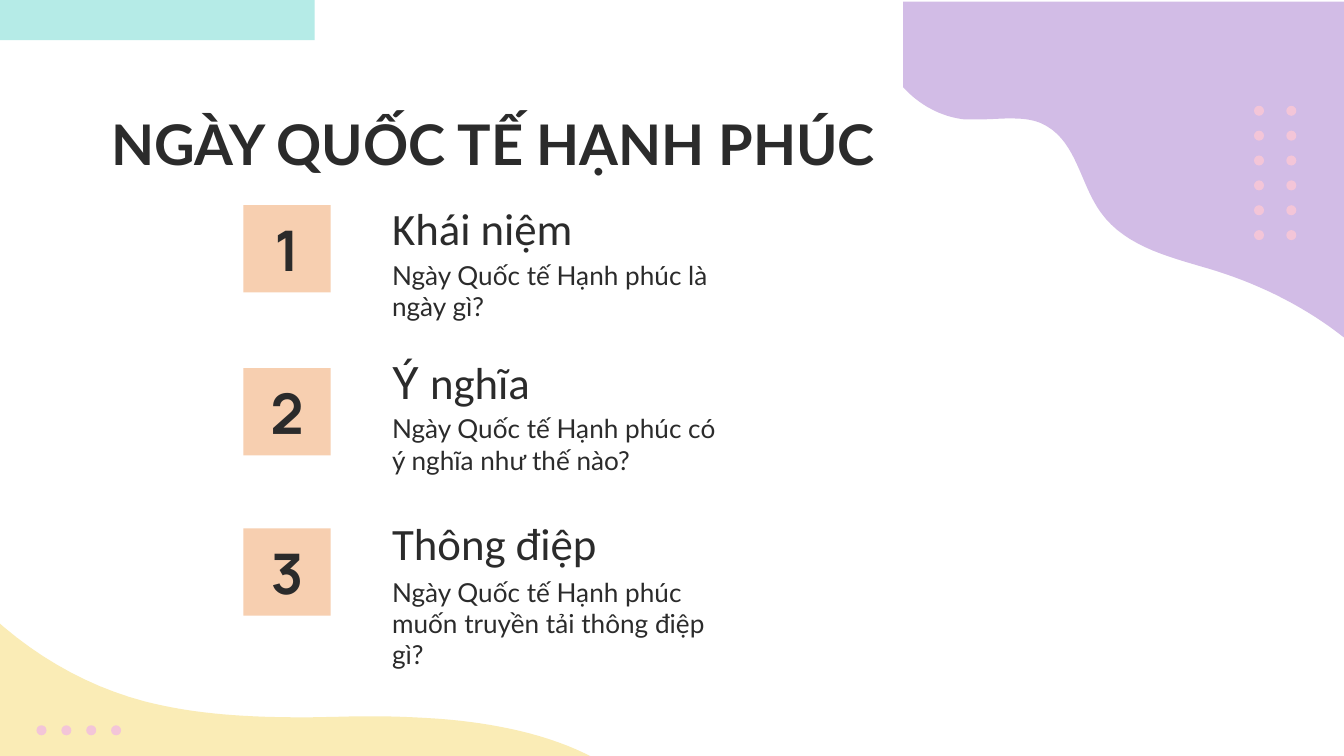
from dataclasses import dataclass

from pptx import Presentation
from pptx.dml.color import RGBColor
from pptx.enum.shapes import MSO_SHAPE as Shape
from pptx.enum.text import MSO_ANCHOR as Anchor, PP_ALIGN as Align
from pptx.util import Cm, Pt

INK = RGBColor(0x2B, 0x2B, 0x2B)
MINT = RGBColor(0xB5, 0xEB, 0xE7)
YELLOW = RGBColor(0xFA, 0xEC, 0xB6)
PINK = RGBColor(0xF3, 0xC5, 0xD8)
PEACH = RGBColor(0xF7, 0xCF, 0xB0)
LILAC = RGBColor(0xD2, 0xBC, 0xE6)

DOT_SIZE, DOT_STEP, DOT_COLUMN_STEP = 0.19, 0.47, 0.61
CURVE_STEPS = 16
Point = tuple[float, float]


@dataclass
class Wave:
    """Straight corners, then cubic curves as (control, control, end); in cm."""
    color: RGBColor
    corners: list[Point]
    curves: list[tuple[Point, Point, Point]]


@dataclass
class Topic:
    number: str
    heading: list[tuple[str, str]]  # text and font of each run
    question: str
    number_top: float
    heading_top: float
    question_top: float


YELLOW_WAVE = Wave(
    YELLOW,
    [(-1.17, 10.52), (-1.17, 19.33), (11.23, 19.33), (11.23, 14.33)],
    [
        ((10.36, 13.87), (9.32, 13.67), (8.33, 13.59)),
        ((7.9, 13.56), (7.44, 13.54), (7.01, 13.54)),
        ((6.58, 13.54), (6.15, 13.56), (5.72, 13.56)),
        ((4.72, 13.56), (3.71, 13.51), (2.74, 13.26)),
        ((1.17, 12.85), (-0.2, 11.84), (-1.17, 10.52)),
    ],
)
LILAC_WAVE = Wave(
    LILAC,
    [(25.4, 6.38), (25.4, 0.03), (17.07, 0.03), (17.07, 1.65)],
    [
        ((17.37, 1.98), (17.78, 2.21), (18.24, 2.26)),
        ((18.31, 2.26), (18.36, 2.26), (18.44, 2.26)),
        ((18.67, 2.26), (18.9, 2.24), (19.1, 2.24)),
        ((19.35, 2.24), (19.58, 2.26), (19.79, 2.39)),
        ((20.35, 2.72), (20.42, 3.48), (20.8, 4.01)),
        ((21.29, 4.7), (22.2, 4.88), (23.01, 5.13)),
        ((23.88, 5.41), (24.69, 5.82), (25.4, 6.38)),
    ],
)
TOPICS = [
    Topic("1", [("Khái niệm", "Calibri")],
          "Ngày Quốc tế Hạnh phúc là ngày gì?", 3.88, 4.04, 4.65),
    Topic("2", [("Ý ", "Roboto"), ("nghĩa", "Calibri")],
          "Ngày Quốc tế Hạnh phúc có ý nghĩa như thế nào?", 6.96, 6.96, 7.55),
    Topic("3", [("Thông điệp", "Calibri")],
          "Ngày Quốc tế Hạnh phúc muốn truyền tải thông điệp gì?",
          9.99, 9.99, 10.64),
]


def paint(shape, color: RGBColor) -> None:
    shape.shadow.inherit = False
    shape.fill.solid()
    shape.fill.fore_color.rgb = color
    shape.line.fill.background()


def add_block(page, kind: Shape, left: float, top: float, width: float,
              height: float, color: RGBColor):
    block = page.shapes.add_shape(kind, Cm(left), Cm(top), Cm(width), Cm(height))
    paint(block, color)
    return block


def add_wave(page, wave: Wave) -> None:
    """Draw the outline with each curve cut into short straight steps."""
    outline = list(wave.corners)
    for first, second, end in wave.curves:
        start = outline[-1]
        for step in range(1, CURVE_STEPS + 1):
            t = step / CURVE_STEPS
            u = 1 - t
            outline.append(tuple(
                u**3 * a + 3 * u * u * t * b + 3 * u * t * t * c + t**3 * d
                for a, b, c, d in zip(start, first, second, end)))
    points = [(Cm(x), Cm(y)) for x, y in outline]
    builder = page.shapes.build_freeform(*points[0], scale=1.0)
    builder.add_line_segments(points[1:], close=True)
    paint(builder.convert_to_shape(), wave.color)


def add_dots(page, left: float, top: float, columns: int, rows: int,
             column_step: float) -> None:
    for column in range(columns):
        for row in range(rows):
            add_block(page, Shape.OVAL, left + column * column_step,
                      top + row * DOT_STEP, DOT_SIZE, DOT_SIZE, PINK)


def write(shape, spans: list[tuple[str, str]], size: int, bold: bool = False,
          anchor: Anchor = Anchor.TOP, align: Align = Align.LEFT) -> None:
    frame = shape.text_frame
    frame.word_wrap = True
    frame.vertical_anchor = anchor
    frame.margin_left = frame.margin_right = Cm(0.25)
    frame.margin_top = frame.margin_bottom = Cm(0.25)
    para = frame.paragraphs[0]
    para.alignment = align
    for text, font in spans:
        span = para.add_run()
        span.text = text
        span.font.name = font
        span.font.size = Pt(size)
        span.font.bold = bold
        span.font.color.rgb = INK


def add_text_box(page, left: float, top: float, width: float, height: float):
    return page.shapes.add_textbox(Cm(left), Cm(top), Cm(width), Cm(height))


def add_topic(page, topic: Topic) -> None:
    heading = add_text_box(page, 7.16, topic.heading_top, 6.71, 1.02)
    write(heading, topic.heading, 24, anchor=Anchor.BOTTOM)
    badge = add_block(page, Shape.RECTANGLE, 4.6, topic.number_top, 1.65, 1.65, PEACH)
    write(badge, [(topic.number, "Manrope")], 30, True, Anchor.MIDDLE, Align.CENTER)
    question = add_text_box(page, 7.16, topic.question_top, 6.71, 1.35)
    write(question, [(topic.question, "Lato")], 14)


def main() -> None:
    deck = Presentation()
    deck.slide_width, deck.slide_height = Cm(25.4), Cm(14.29)
    page = deck.slides.add_slide(deck.slide_layouts[6])

    add_block(page, Shape.RECTANGLE, 0, 0, 5.95, 0.76, MINT)
    add_wave(page, YELLOW_WAVE)
    add_dots(page, 0.69, 13.71, 4, 1, DOT_STEP)

    title = add_text_box(page, 1.85, 1.83, 21.41, 1.6)
    write(title, [("NGÀY QUỐC TẾ HẠNH PHÚC", "Lato")], 30, True)
    for topic in TOPICS:
        add_topic(page, topic)

    add_wave(page, LILAC_WAVE)
    add_dots(page, 23.7, 2, 2, 6, DOT_COLUMN_STEP)
    deck.save("out.pptx")


if __name__ == "__main__":
    main()
